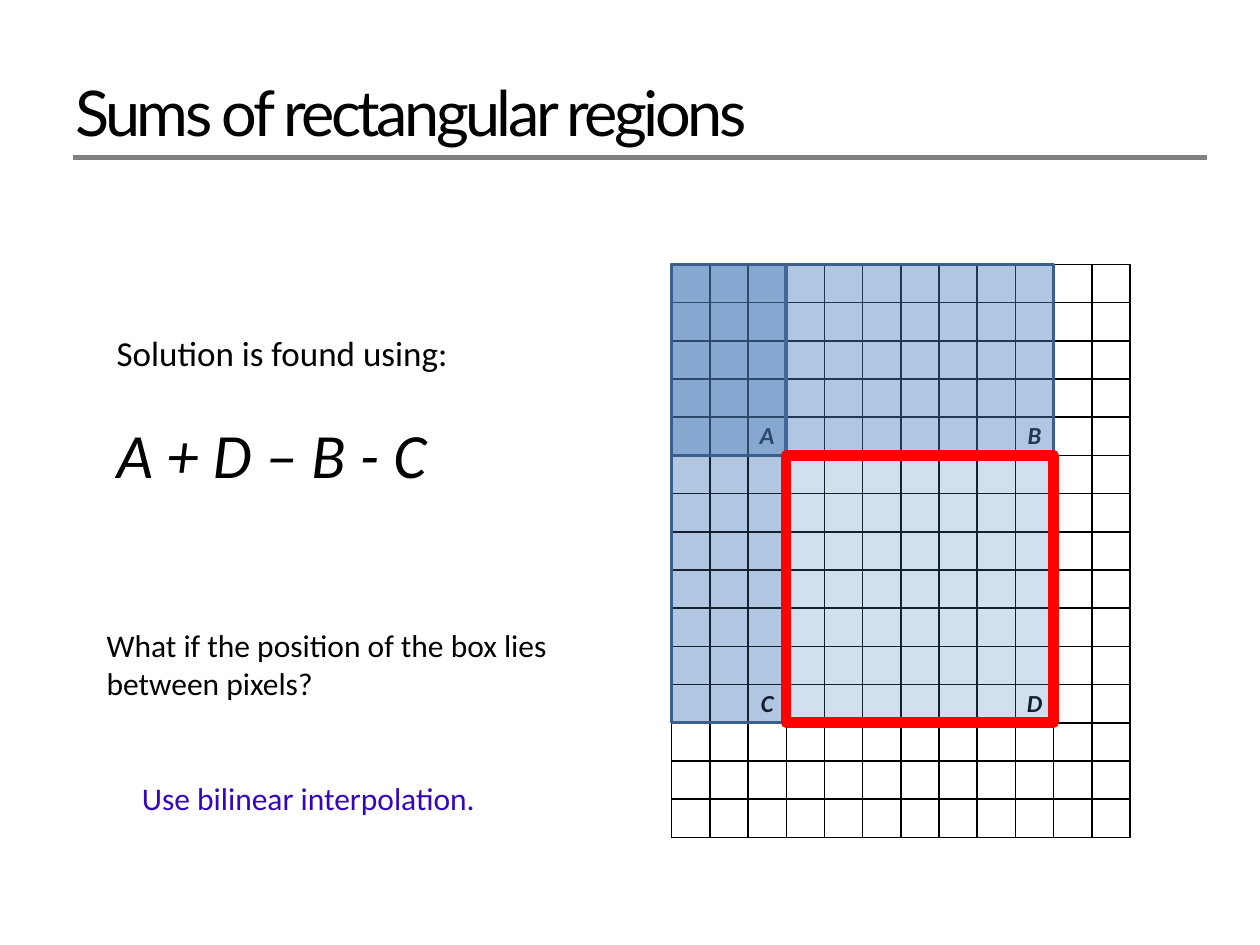
from lxml import etree
from pptx import Presentation
from pptx import util as u
from pptx.dml.color import RGBColor
from pptx.enum import shapes, text
from pptx.oxml import parse_xml
from pptx.oxml.ns import nsdecls, qn

BLACK = RGBColor(0x00, 0x00, 0x00)
GRAY = RGBColor(0x80, 0x80, 0x80)
BLUE = RGBColor(0x4F, 0x81, 0xBD)
DARK_BLUE = RGBColor(0x3A, 0x5F, 0x8C)
RED = RGBColor(0xFF, 0x00, 0x00)
VIOLET = RGBColor(0x35, 0x06, 0xBA)

CELL = 0.77
COLUMNS, ROWS = 12, 15
# Cell edges of the queried rectangle
LEFT, TOP, RIGHT, BOTTOM = 3, 5, 10, 12
CORNERS = {"A": (LEFT, TOP), "B": (RIGHT, TOP), "C": (LEFT, BOTTOM), "D": (RIGHT, BOTTOM)}


def format_paragraph(paragraph, size, color=BLACK, font="Calibri", italic=None, bold=None):
    for run in paragraph.runs:
        run.font.size = u.Pt(size)
        run.font.name = font
        run.font.color.rgb = color
        run.font.italic = italic
        run.font.bold = bold


def add_text(slide, left, top, width, height, words, wrap=True):
    frame = slide.shapes.add_textbox(u.Cm(left), u.Cm(top), u.Cm(width), u.Cm(height)).text_frame
    frame.word_wrap = wrap
    frame.text = words
    return frame


def add_title(slide, left, top, width, height):
    frame = add_text(slide, left, top, width, height, "Sums of rectangular regions")
    frame.vertical_anchor = text.MSO_ANCHOR.MIDDLE
    paragraph = frame.paragraphs[0]
    paragraph.line_spacing = 0.9
    format_paragraph(paragraph, 36, font="Lato")
    paragraph.runs[0].font._element.set("spc", "-200")

    rule_left, rule_top = u.Cm(left + 0.2), u.Cm(top + 2.42)
    rule = slide.shapes.add_connector(
        shapes.MSO_CONNECTOR.STRAIGHT, rule_left, rule_top, rule_left + u.Cm(width), rule_top)
    rule.line.color.rgb = GRAY
    rule.line.width = u.Pt(3)
    etree.SubElement(rule._element.spPr, qn("a:effectLst"))


def add_explanation(slide, left, top):
    frame = add_text(slide, left + 0.2, top, 10.16, 3.5, "Solution is found using:\nA + D – B - C")
    heading, formula = frame.paragraphs
    format_paragraph(heading, 20)
    format_paragraph(formula, 36, italic=True)
    formula.space_before = u.Pt(24)

    question = add_text(slide, left, top + 5.95, 9.53, 1.8,
                        "What if the position of the box lies between pixels?")
    format_paragraph(question.paragraphs[0], 18)
    answer = add_text(slide, left + 0.71, top + 9.02, 7.32, 1.02,
                      "Use bilinear interpolation.", wrap=False)
    format_paragraph(answer.paragraphs[0], 18, VIOLET)


def add_cell_box(slide, left, top, first, last, line_color, line_width, filled=True):
    """Draw a rectangle over the grid between two (column, row) corners."""
    box = slide.shapes.add_shape(
        shapes.MSO_SHAPE.RECTANGLE,
        u.Cm(left + first[0] * CELL), u.Cm(top + first[1] * CELL),
        u.Cm((last[0] - first[0]) * CELL), u.Cm((last[1] - first[1]) * CELL))
    box.shadow.inherit = False
    box.line.color.rgb = line_color
    box.line.width = u.Pt(line_width)
    if filled:
        box.fill.solid()
        box.fill.fore_color.rgb = BLUE
        color = box._element.spPr.find(qn("a:solidFill"))[0]
        etree.SubElement(color, qn("a:alpha")).set("val", "25000")
    else:
        box.fill.background()
        etree.SubElement(box.line._get_or_add_ln(), qn("a:round"))


def format_cell(cell):
    cell.margin_left = cell.margin_right = cell.margin_top = cell.margin_bottom = 0
    cell.vertical_anchor = text.MSO_ANCHOR.MIDDLE
    properties = cell._tc.get_or_add_tcPr()
    for side in ("lnL", "lnR", "lnT", "lnB"):
        properties.append(parse_xml(
            f'<a:{side} {nsdecls("a")} w="12700"><a:solidFill>'
            f'<a:srgbClr val="{BLACK}"/></a:solidFill></a:{side}>'))
    cell.fill.background()
    paragraph = cell.text_frame.paragraphs[0]
    paragraph.alignment = text.PP_ALIGN.CENTER
    format_paragraph(paragraph, 14, italic=True, bold=True)
    etree.SubElement(paragraph._p, qn("a:endParaRPr")).set("sz", "1400")


def add_grid(slide, left, top):
    table = slide.shapes.add_table(
        ROWS, COLUMNS, u.Cm(left), u.Cm(top), u.Cm(COLUMNS * CELL), u.Cm(ROWS * CELL)).table
    table.first_row = table.horz_banding = False
    for line in (*table.columns, *table.rows):
        if hasattr(line, "width"):
            line.width = u.Cm(CELL)
        else:
            line.height = u.Cm(CELL)
    for letter, (column, row) in CORNERS.items():
        table.cell(row - 1, column - 1).text = letter
    for cell in table.iter_cells():
        format_cell(cell)


def add_summed_area(slide, left, top):
    add_cell_box(slide, left, top, (0, 0), CORNERS["C"], DARK_BLUE, 2)
    add_grid(slide, left, top)
    for letter in "DAB":
        add_cell_box(slide, left, top, (0, 0), CORNERS[letter], DARK_BLUE, 2)
    add_cell_box(slide, left, top, CORNERS["A"], CORNERS["D"], RED, 6, filled=False)


def main():
    presentation = Presentation()
    presentation.slide_width, presentation.slide_height = u.Cm(25.4), u.Cm(19.05)
    slide = presentation.slides.add_slide(presentation.slide_layouts[6])
    add_title(slide, 1.27, 0.76, 22.86, 3.18)
    add_summed_area(slide, 13.54, 5.33)
    add_explanation(slide, 1.9, 6.55)
    presentation.save("out.pptx")


if __name__ == "__main__":
    main()
